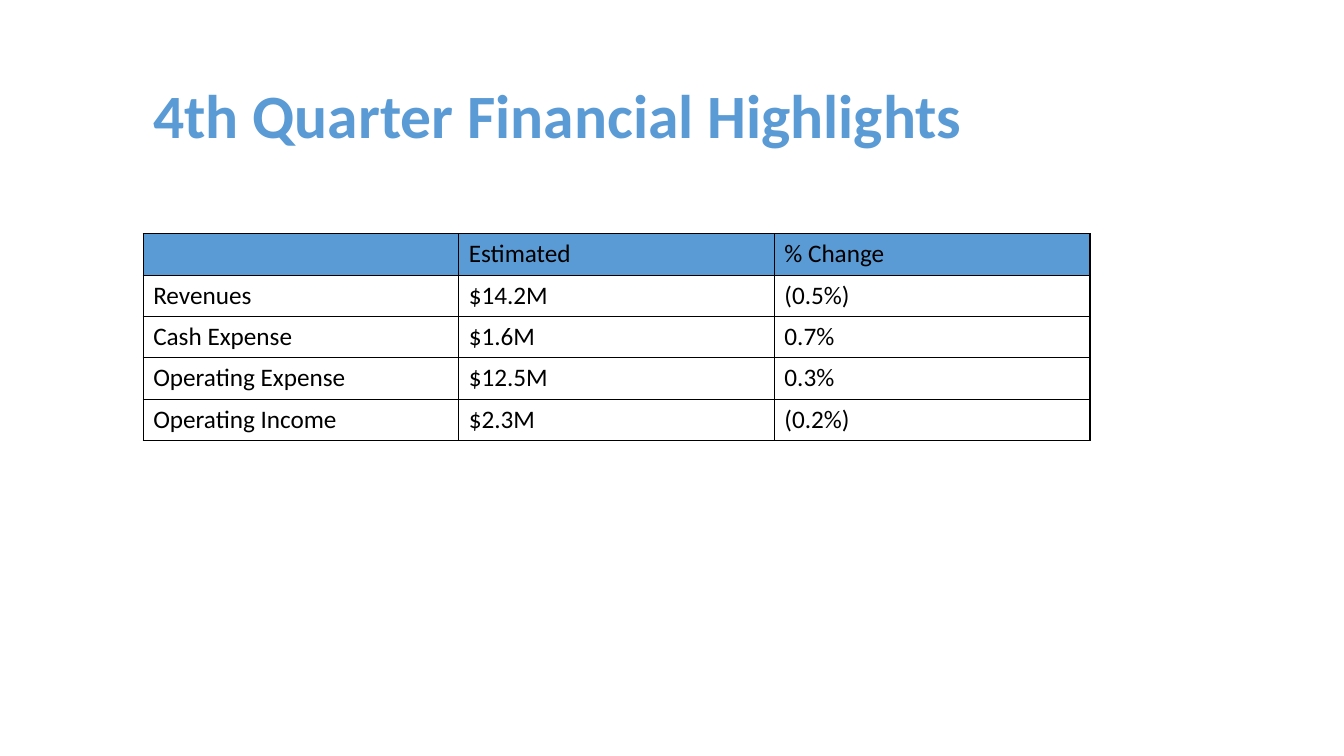
from lxml.etree import SubElement
from pptx import Presentation
from pptx.dml.color import RGBColor
from pptx.enum.text import MSO_ANCHOR, MSO_AUTO_SIZE, PP_ALIGN
from pptx.oxml.ns import qn
from pptx.util import Inches, Pt

COLORS = {"accent": "5B9BD5", "text": "000000", "border": "000000"}
TITLE_FONT = {"name": "Calibri", "size": Pt(44), "bold": True}
CELL_FONT = {"name": "Calibri", "size": Pt(18), "bold": False}
TITLE_FRAME = {"word_wrap": True, "auto_size": MSO_AUTO_SIZE.NONE,
               "vertical_anchor": MSO_ANCHOR.MIDDLE}
TITLE_PARAGRAPH = {"alignment": PP_ALIGN.LEFT, "line_spacing": 0.9}
TABLE_FLAGS = {"first_row": False, "horz_banding": False}

HIGHLIGHTS = [
    ("", "Estimated", "% Change"),
    ("Revenues", "$14.2M", "(0.5%)"),
    ("Cash Expense", "$1.6M", "0.7%"),
    ("Operating Expense", "$12.5M", "0.3%"),
    ("Operating Income", "$2.3M", "(0.2%)"),
]


def apply(target, values):
    for name, value in values.items():
        setattr(target, name, value)


class SlideBuilder:
    margin = Inches(1.42)
    column = Inches(3.13)
    row = Inches(0.41)

    def __init__(self, slide):
        self.s = slide

    def box(self, col, row, cols, rows):
        return {"left": self.margin + int(col * self.column),
                "top": int(row * self.row),
                "width": int(cols * self.column),
                "height": int(rows * self.row)}

    def style(self, font, values, color):
        apply(font, values)
        font.color.rgb = RGBColor.from_string(COLORS[color])

    def title(self, text, *place):
        sp = self.s.shapes.title
        apply(sp, self.box(*place))
        tf = sp.text_frame
        apply(tf, TITLE_FRAME)
        p = tf.paragraphs[0]
        apply(p, TITLE_PARAGRAPH)
        r = p.add_run()
        r.text = text
        self.style(r.font, TITLE_FONT, "accent")

    def border(self, cell):
        tcPr = cell._tc.get_or_add_tcPr()
        for i, side in enumerate(("a:lnL", "a:lnR", "a:lnT", "a:lnB")):
            ln = tcPr.makeelement(qn(side), {"w": str(Pt(1))})
            fill = SubElement(ln, qn("a:solidFill"))
            SubElement(fill, qn("a:srgbClr"), val=COLORS["border"])
            tcPr.insert(i, ln)

    def table(self, data, col, row):
        rows, cols = len(data), len(data[0])
        place = self.box(col, row, cols, rows)
        table = self.s.shapes.add_table(rows, cols, **place).table
        apply(table, TABLE_FLAGS)
        for i, values in enumerate(data):
            for j, text in enumerate(values):
                cell = table.cell(i, j)
                if i == 0:
                    cell.fill.solid()
                    cell.fill.fore_color.rgb = RGBColor.from_string(COLORS["accent"])
                else:
                    cell.fill.background()
                self.border(cell)
                if text:
                    r = cell.text_frame.paragraphs[0].add_run()
                    r.text = text
                    self.style(r.font, CELL_FONT, "text")


def main():
    prs = Presentation()
    apply(prs, {"slide_width": Inches(13.33), "slide_height": Inches(7.5)})
    slide = SlideBuilder(prs.slides.add_slide(prs.slide_layouts[5]))
    slide.title("4th Quarter Financial Highlights", 0, 1.34, 3.16, 3.05)
    slide.table(HIGHLIGHTS, 0, 5.66)
    prs.save("out.pptx")


if __name__ == "__main__":
    main()
